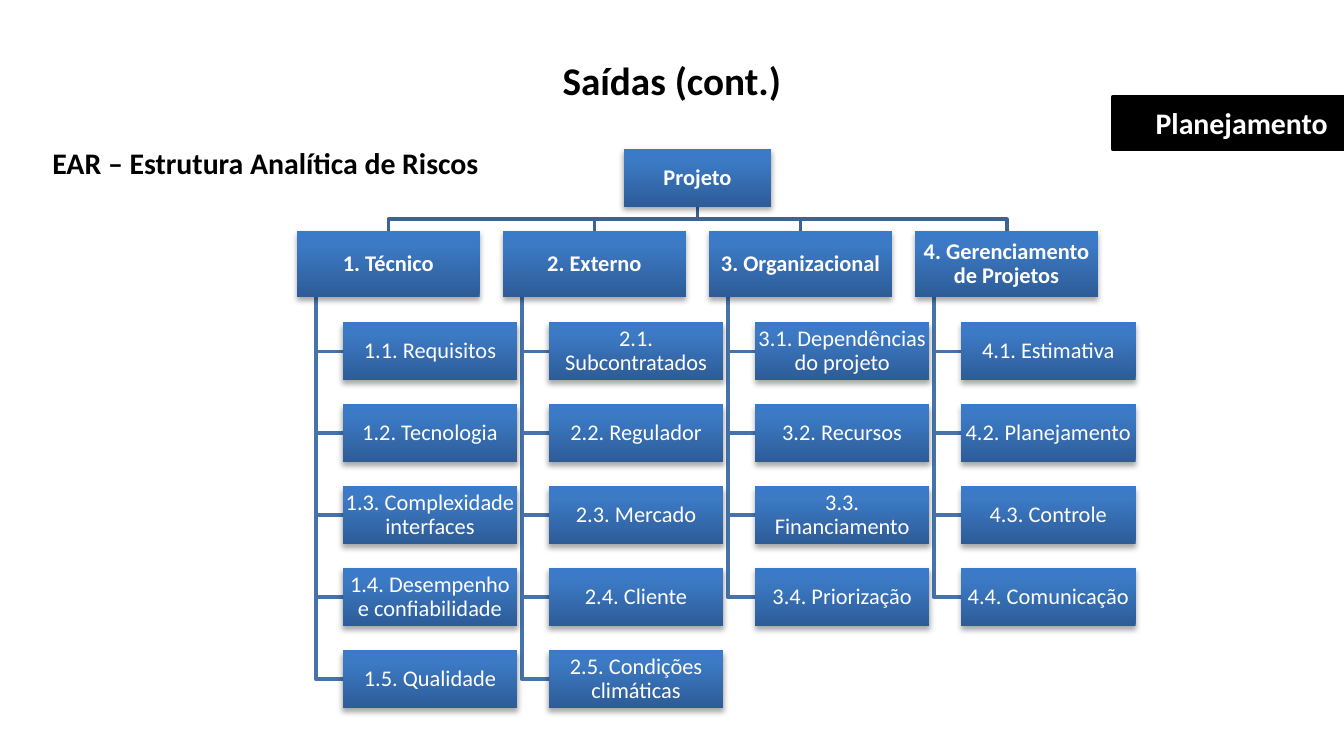
"""Builds the risk breakdown structure slide."""
from lxml.etree import SubElement
from pptx import Presentation
from pptx.dml.color import RGBColor
from pptx.enum.shapes import MSO_SHAPE as SHAPE
from pptx.enum.text import MSO_ANCHOR as ANCHOR, PP_ALIGN as ALIGN
from pptx.oxml.ns import qn
from pptx.util import Inches, Pt

COLORS = {
    "black": "000000", "white": "FFFFFF", "root_link": "3B6495", "item_link": "4674AA",
    "grad_dark": "2D5C97", "grad_mid": "3C7AC5", "grad_light": "397BC9",
}
GRADIENT = [(0, "grad_dark"), (80, "grad_mid"), (100, "grad_light")]
SHADOW = {"blurRad": Pt(3.1), "dist": Pt(1.8), "dir": 90 * 60000, "algn": "ctr", "rotWithShape": 0}

BRANCHES = [
    ("1. Técnico", ["1.1. Requisitos", "1.2. Tecnologia", "1.3. Complexidade interfaces",
                    "1.4. Desempenho e confiabilidade", "1.5. Qualidade"]),
    ("2. Externo", ["2.1. Subcontratados", "2.2. Regulador", "2.3. Mercado",
                    "2.4. Cliente", "2.5. Condições climáticas"]),
    ("3. Organizacional", ["3.1. Dependências do projeto", "3.2. Recursos",
                           "3.3. Financiamento", "3.4. Priorização"]),
    ("4. Gerenciamento de Projetos", ["4.1. Estimativa", "4.2. Planejamento",
                                      "4.3. Controle", "4.4. Comunicação"]),
]
ROOT_X, ROOT_Y, ROOT_W, BOX_H = 4.64, 1.11, 1.1, 0.43
BRANCH_X, BRANCH_Y, BRANCH_W, BRANCH_H = 2.21, 1.72, 1.36, 0.49
BRANCH_STEP = 4.6 / 3
STEM_DX, ITEM_DX, ITEM_Y, ITEM_W, ITEM_STEP = 0.14, 0.34, 2.4, 1.3, 0.61


def rgb(name):
    """Return the named colour."""
    return RGBColor.from_string(COLORS[name])


def write(sp, text, size, color="white", bold=True, align=ALIGN.CENTER,
          anchor=ANCHOR.MIDDLE, inset=(0.12, 0.06), spacing=1.0):
    """Put one formatted paragraph in a shape."""
    tf = sp.text_frame
    dx, dy = map(Inches, inset)
    frame = {"word_wrap": True, "vertical_anchor": anchor, "margin_left": dx,
             "margin_right": dx, "margin_top": dy, "margin_bottom": dy}
    for key, value in frame.items():
        setattr(tf, key, value)
    p = tf.paragraphs[0]
    p.alignment, p.line_spacing = align, spacing
    r = p.add_run()
    r.text = text
    for key, value in {"name": "Calibri", "size": Pt(size), "bold": bold}.items():
        setattr(r.font, key, value)
    r.font.color.rgb = rgb(color)


def add_label(s, box, text, size, align):
    """Add a bold black text box."""
    sp = s.shapes.add_textbox(*map(Inches, box))
    write(sp, text, size, "black", align=align, anchor=ANCHOR.TOP)


def add_tag(s, box, text):
    """Add the black phase tag."""
    sp = s.shapes.add_shape(SHAPE.RECTANGLE, *map(Inches, box))
    sp.shadow.inherit = False
    sp.fill.solid()
    sp.fill.fore_color.rgb = sp.line.color.rgb = rgb("black")
    sp.line.width = Pt(2)
    write(sp, text, 16, align=ALIGN.RIGHT)


def add_color(parent, name):
    """Append a colour element and return it."""
    return SubElement(parent, qn("a:srgbClr"), val=COLORS[name])


def add_node(s, box, text, bold=True):
    """Add a gradient box with a soft shadow."""
    sp = s.shapes.add_shape(SHAPE.RECTANGLE, *map(Inches, box))
    sp.line.fill.background()
    sp.fill.gradient()
    sp.fill.gradient_angle = 90
    sp.shadow.inherit = False
    sp_pr = sp._element.spPr
    stops = sp_pr.find(qn("a:gradFill")).find(qn("a:gsLst"))
    for stop in list(stops):
        stops.remove(stop)
    for pos, name in GRADIENT:
        add_color(SubElement(stops, qn("a:gs"), pos=str(pos * 1000)), name)
    attrs = {key: str(value) for key, value in SHADOW.items()}
    shadow = SubElement(sp_pr.find(qn("a:effectLst")), qn("a:outerShdw"), attrs)
    SubElement(add_color(shadow, "black"), qn("a:alpha"), val="35000")
    write(sp, text, 12, bold=bold, inset=(0.01, 0.01), spacing=0.9)


def add_link(s, points, color):
    """Add an open elbow line through the points."""
    start, *rest = [tuple(map(Inches, point)) for point in points]
    builder = s.shapes.build_freeform(*start)
    builder.add_line_segments(rest, close=False)
    sp = builder.convert_to_shape()
    sp.shadow.inherit = False
    sp.fill.background()
    sp.line.color.rgb = rgb(color)
    sp.line.width = Pt(2)


def add_links(s):
    """Join the root to the branches and the branches to their items."""
    root_x, root_y = ROOT_X + ROOT_W / 2, ROOT_Y + BOX_H
    bus_y = (root_y + BRANCH_Y) / 2
    for col, (_, items) in enumerate(BRANCHES):
        x = BRANCH_X + col * BRANCH_STEP
        mid, stem, top = x + BRANCH_W / 2, x + STEM_DX, BRANCH_Y + BRANCH_H
        add_link(s, [(root_x, root_y), (root_x, bus_y), (mid, bus_y), (mid, BRANCH_Y)], "root_link")
        for row in range(len(items)):
            y = ITEM_Y + row * ITEM_STEP + BOX_H / 2
            add_link(s, [(stem, top), (stem, y), (x + ITEM_DX, y)], "item_link")


def add_nodes(s):
    """Add the root, branch and item boxes."""
    add_node(s, (ROOT_X, ROOT_Y, ROOT_W, BOX_H), "Projeto")
    for col, (title, items) in enumerate(BRANCHES):
        x = BRANCH_X + col * BRANCH_STEP
        add_node(s, (x, BRANCH_Y, BRANCH_W, BRANCH_H), title)
        for row, item in enumerate(items):
            add_node(s, (x + ITEM_DX, ITEM_Y + row * ITEM_STEP, ITEM_W, BOX_H), item, bold=False)


def main():
    """Build and save the slide."""
    prs = Presentation()
    prs.slide_width = Inches(10)
    prs.slide_height = prs.slide_width * 9 // 16
    s = prs.slides.add_slide(prs.slide_layouts[6])
    add_label(s, (0, 0.36, 10, 0.48), "Saídas (cont.)", 21, ALIGN.CENTER)
    add_tag(s, (8.28, 0.72, 1.72, 0.39), "Planejamento")
    add_links(s)
    add_nodes(s)
    add_label(s, (0.27, 1.02, 4, 0.4), "EAR – Estrutura Analítica de Riscos", 16, ALIGN.LEFT)
    prs.save("out.pptx")


if __name__ == "__main__":
    main()
